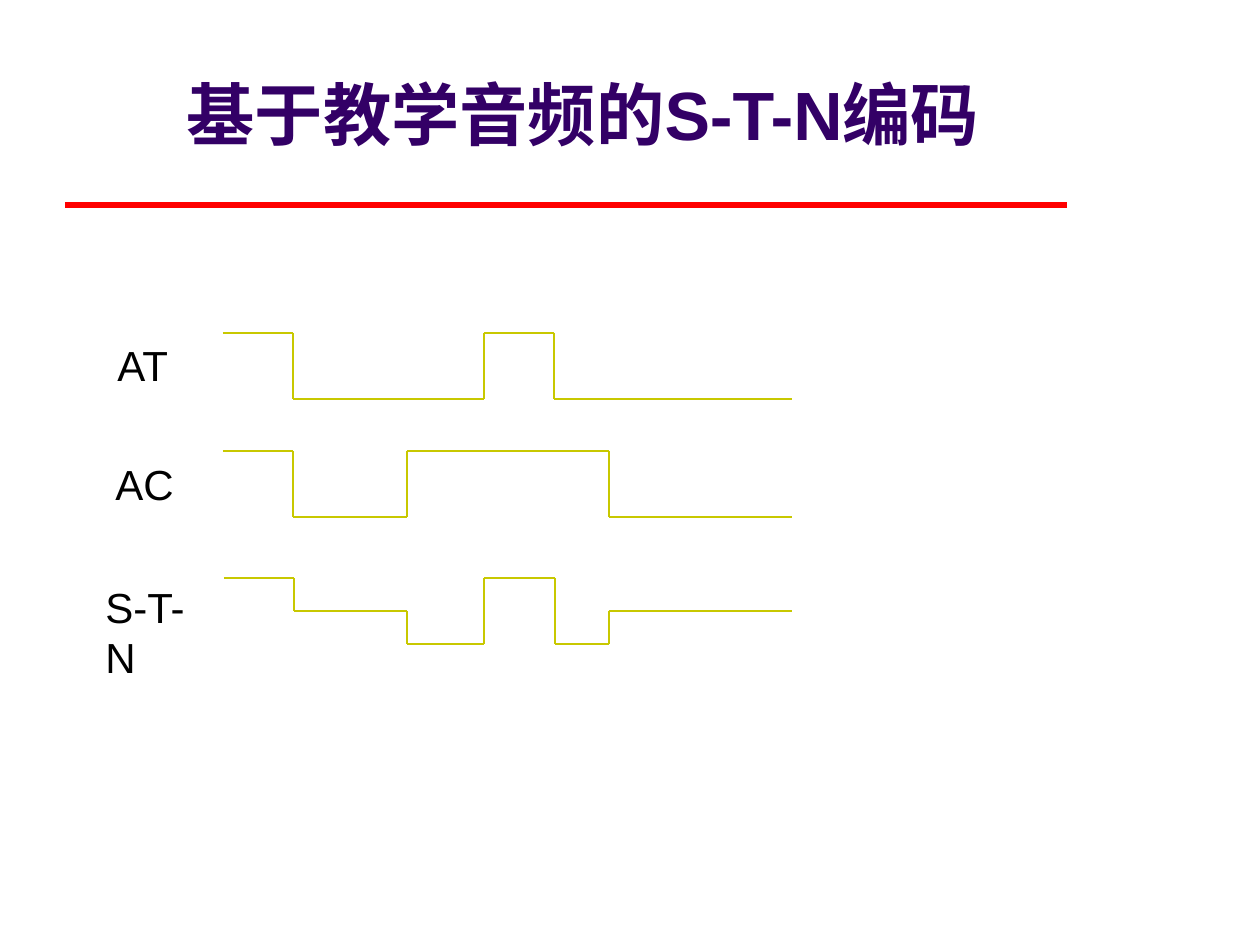
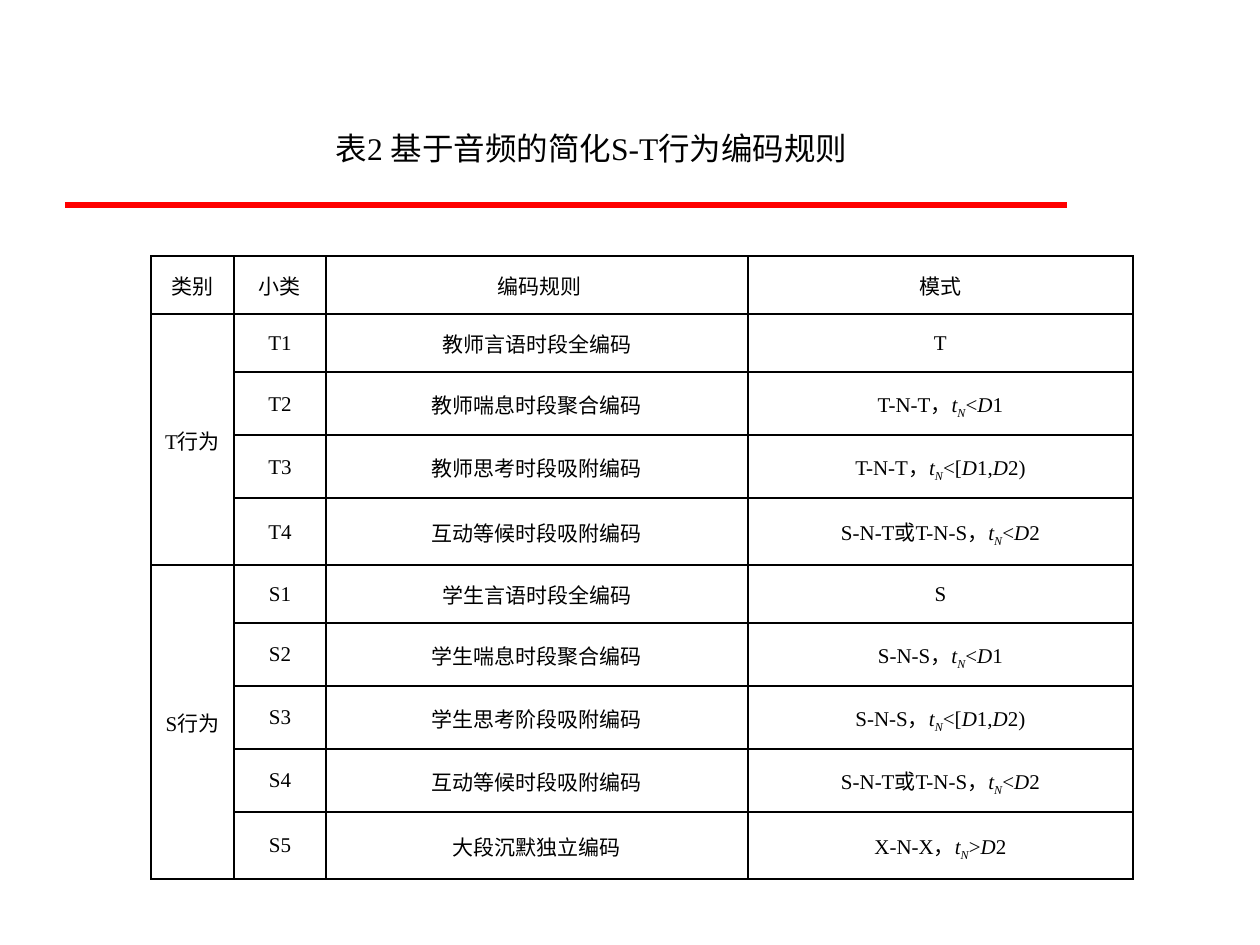
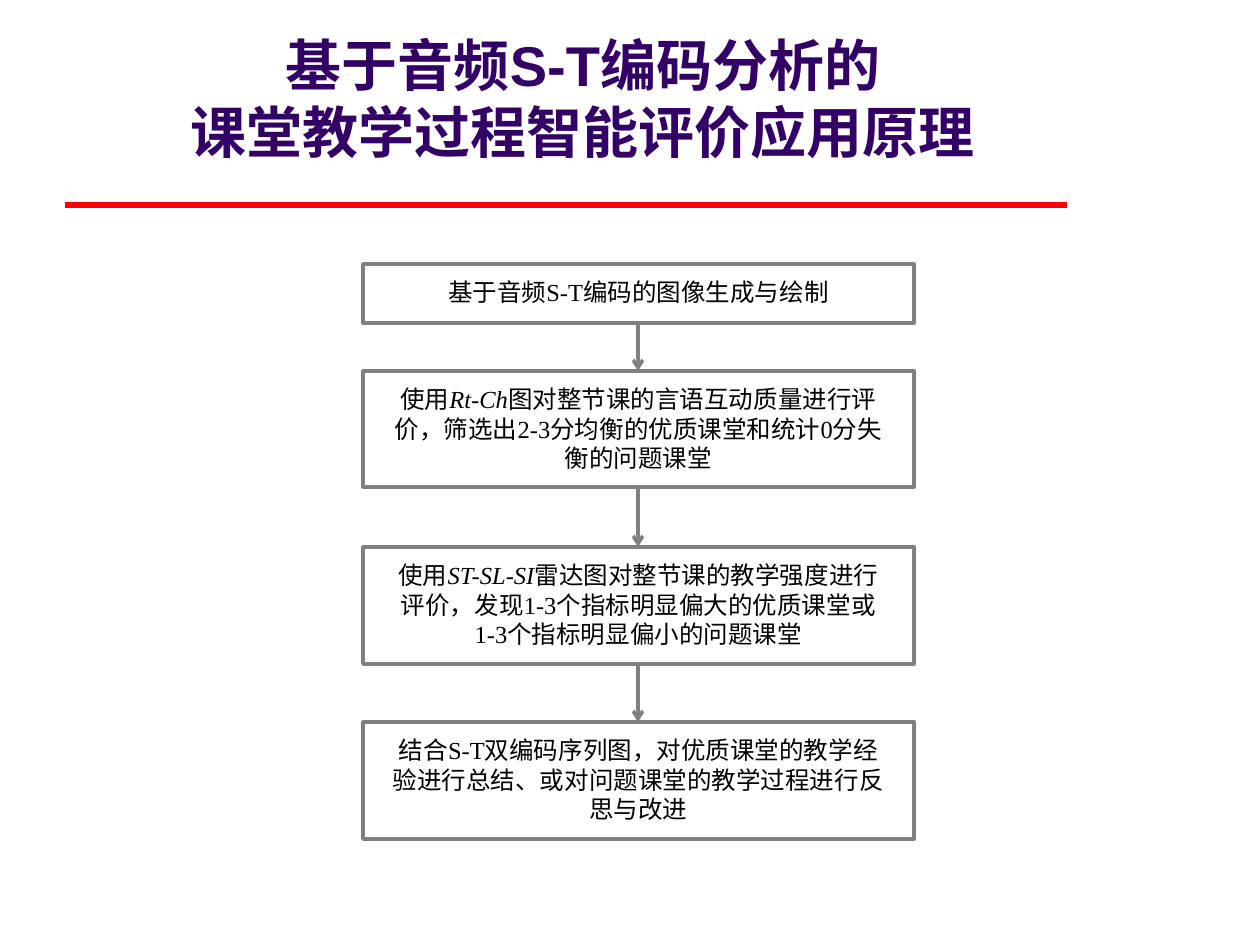
import itertools

import pptx
import pptx.dml.color
import pptx.enum.shapes
import pptx.enum.text
import pptx.oxml
import pptx.oxml.ns
import pptx.util

RGB = pptx.dml.color.RGBColor
BLACK = RGB(0x00, 0x00, 0x00)
PURPLE = RGB(0x33, 0x00, 0x66)
RED = RGB(0xFF, 0x00, 0x00)
OLIVE = RGB(0xC8, 0xC8, 0x00)
GRAY = RGB(0x80, 0x80, 0x80)

SANS, SERIF = "Arial", "Times New Roman"
CENTER = pptx.enum.text.PP_ALIGN.CENTER
LEFT = pptx.enum.text.PP_ALIGN.LEFT
PX = 914400 / 126  # EMU per px


def px(*values):
    return [pptx.util.Emu(round(v * PX)) for v in values]


def xml(tag, inner="", attrs=""):
    ns = pptx.oxml.ns.nsdecls("a")
    return pptx.oxml.parse_xml(f"<a:{tag} {ns} {attrs}>{inner}</a:{tag}>")


class Deck:
    def __init__(self):
        self.prs = pptx.Presentation()
        self.prs.slide_width, self.prs.slide_height = px(1260, 945)

    def slide(self):
        self.s = self.prs.slides.add_slide(self.prs.slide_layouts[6])
        self.line(65, 205, 1067, 205, RED, 3)

    def line(self, x1, y1, x2, y2, color, width, arrow=False):
        c = self.s.shapes.add_connector(
            pptx.enum.shapes.MSO_CONNECTOR.STRAIGHT, *px(x1, y1, x2, y2))
        c.line.color.rgb = color
        c.line.width = pptx.util.Pt(width)
        if arrow:
            c.line._get_or_add_ln().append(xml("tailEnd", attrs='type="arrow"'))
        c._element.spPr.append(xml("effectLst"))

    def box(self, x, y, w, h):
        sp = self.s.shapes.add_shape(
            pptx.enum.shapes.MSO_SHAPE.RECTANGLE, *px(x, y, w, h))
        sp.shadow.inherit = False
        sp.fill.background()
        sp.line.color.rgb = GRAY
        sp.line.width = pptx.util.Pt(2)

    def style(self, p, size, font, color=BLACK, align=CENTER, bold=False):
        p.alignment = align
        p.font.size = pptx.util.Pt(size)
        p.font.name = font
        p.font.color.rgb = color
        p.font.bold = bold

    def runs(self, p, text):
        """Add runs: *italic*, and inside italics _ starts a subscript."""
        for i, part in enumerate(text.split("*")):
            for j, piece in enumerate(part.split("_")):
                if piece:
                    r = p.add_run()
                    r.text = piece
                    if i % 2:
                        r.font.italic = True
                    if j:
                        r._r.get_or_add_rPr().set("baseline", "-25000")

    def text(self, x, y, w, h, text, size, font, **style):
        tf = self.s.shapes.add_textbox(*px(x, y, w, h)).text_frame
        tf.word_wrap = True
        for i, row in enumerate(text.split("\n")):
            p = tf.add_paragraph() if i else tf.paragraphs[0]
            self.style(p, size, font, **style)
            self.runs(p, row)
        return tf

    def title(self, text, top, size):
        self.text(63, top, 1040, 165 - top, text, size, SANS,
                  color=PURPLE, bold=True)

    def wave(self, xs, levels):
        """Draw a step signal holding levels[i] from xs[i] to xs[i + 1]."""
        points = [(x, y) for i, y in enumerate(levels) for x in xs[i:i + 2]]
        for start, end in itertools.pairwise(points):
            self.line(*start, *end, OLIVE, 0.75)

    def cell(self, cell, text):
        cell.margin_left = cell.margin_right = cell.margin_top = px(1)[0]
        cell.margin_bottom = 0
        cell.vertical_anchor = pptx.enum.text.MSO_ANCHOR.MIDDLE
        p = cell.text_frame.paragraphs[0]
        self.style(p, 12, SERIF)
        self.runs(p, text)
        tcPr = cell._tc.get_or_add_tcPr()
        for side in "LRTB":
            tcPr.append(xml(f"ln{side}", '<a:solidFill><a:srgbClr val="000000"/>'
                            "</a:solidFill>", 'w="12700"'))
        cell.fill.background()

    def table(self, x, y, widths, heights, rows, spans):
        t = self.s.shapes.add_table(
            len(rows), len(widths), *px(x, y, sum(widths), sum(heights))).table
        t.first_row = t.horz_banding = False
        for col, w in zip(t.columns, px(*widths)):
            col.width = w
        for row, h in zip(t.rows, px(*heights)):
            row.height = h
        for i, row in enumerate(rows):
            for j, text in enumerate(row):
                self.cell(t.cell(i, j), text)
        for first, last in spans:
            t.cell(first, 0).merge(t.cell(last, 0))


def coding_slide(d):
    d.slide()
    # Signals
    d.wave([223, 293, 484, 554, 792], [333, 399, 333, 399])
    d.wave([223, 293, 407, 609, 792], [451, 517, 451, 517])
    d.wave([224, 294, 407, 484, 555, 609, 792], [578, 611, 644, 578, 644, 611])
    # Signal names
    for x, y, w, name in [(105, 333, 94, "AT"), (103, 452, 88, "AC"),
                          (93, 575, 118, "S-T-N")]:
        d.text(x, y, w, 63, name, 24, SANS, align=LEFT)
    d.title("基于教学音频的S-T-N编码", 66, 39)


def rules_slide(d):
    d.slide()
    # Caption, alternating the two fonts
    p = d.text(241, 123, 701, 50, "", 18, SANS).paragraphs[0]
    parts = ["表", "2 ", "基于音频的简化", "S-T", "行为编码规则"]
    for part, font in zip(parts, itertools.cycle([SANS, SERIF])):
        r = p.add_run()
        r.text = part
        r.font.name = font
    # Coding rules
    rows = [
        ("类别", "小类", " 编码规则", "模式"),
        ("T行为", "T1", "教师言语时段全编码", "T"),
        ("", "T2", "教师喘息时段聚合编码", "T-N-T，*t_N*<*D*1"),
        ("", "T3", "教师思考时段吸附编码", "T-N-T，*t_N*<[*D*1,*D*2)"),
        ("", "T4", "互动等候时段吸附编码", "S-N-T或T-N-S，*t_N*<*D*2"),
        ("S行为", "S1", "学生言语时段全编码", "S"),
        ("", "S2", "学生喘息时段聚合编码", "S-N-S，*t_N*<*D*1"),
        ("", "S3", "学生思考阶段吸附编码", "S-N-S，*t_N*<[*D*1,*D*2)"),
        ("", "S4", "互动等候时段吸附编码", "S-N-T或T-N-S，*t_N*<*D*2"),
        ("", "S5", "大段沉默独立编码", "X-N-X，*t_N*>*D*2"),
    ]
    heights = [58, 58, 63, 63, 67, 58, 63, 63, 63, 67]
    d.table(151, 256, [83, 92, 422, 385], heights, rows, [(1, 4), (5, 9)])


def process_slide(d):
    d.slide()
    d.title("基于音频S-T编码分析的\n课堂教学过程智能评价应用原理", 24, 32)
    # Steps
    steps = [
        (264, 59, "基于音频S-T编码的图像生成与绘制"),
        (371, 116, "使用*Rt-Ch*图对整节课的言语互动质量进行评价，"
                   "筛选出2-3分均衡的优质课堂和统计0分失衡的问题课堂"),
        (547, 117, "使用*ST-SL-SI*雷达图对整节课的教学强度进行评价，"
                   "发现1-3个指标明显偏大的优质课堂或1-3个指标明显偏小的问题课堂"),
        (722, 117, "结合S-T双编码序列图，对优质课堂的教学经验进行总结、"
                   "或对问题课堂的教学过程进行反思与改进"),
    ]
    for top, height, text in steps:
        d.box(363, top, 551, height)
        d.text(379, top + 7, 519, height - 14, text, 14, SERIF)
    # Arrows from each step to the next
    for (top, height, _), (below, _, _) in itertools.pairwise(steps):
        d.line(638, top + height, 638, below, GRAY, 2, arrow=True)


def main():
    d = Deck()
    coding_slide(d)
    rules_slide(d)
    process_slide(d)
    d.prs.save("out.pptx")


if __name__ == "__main__":
    main()
